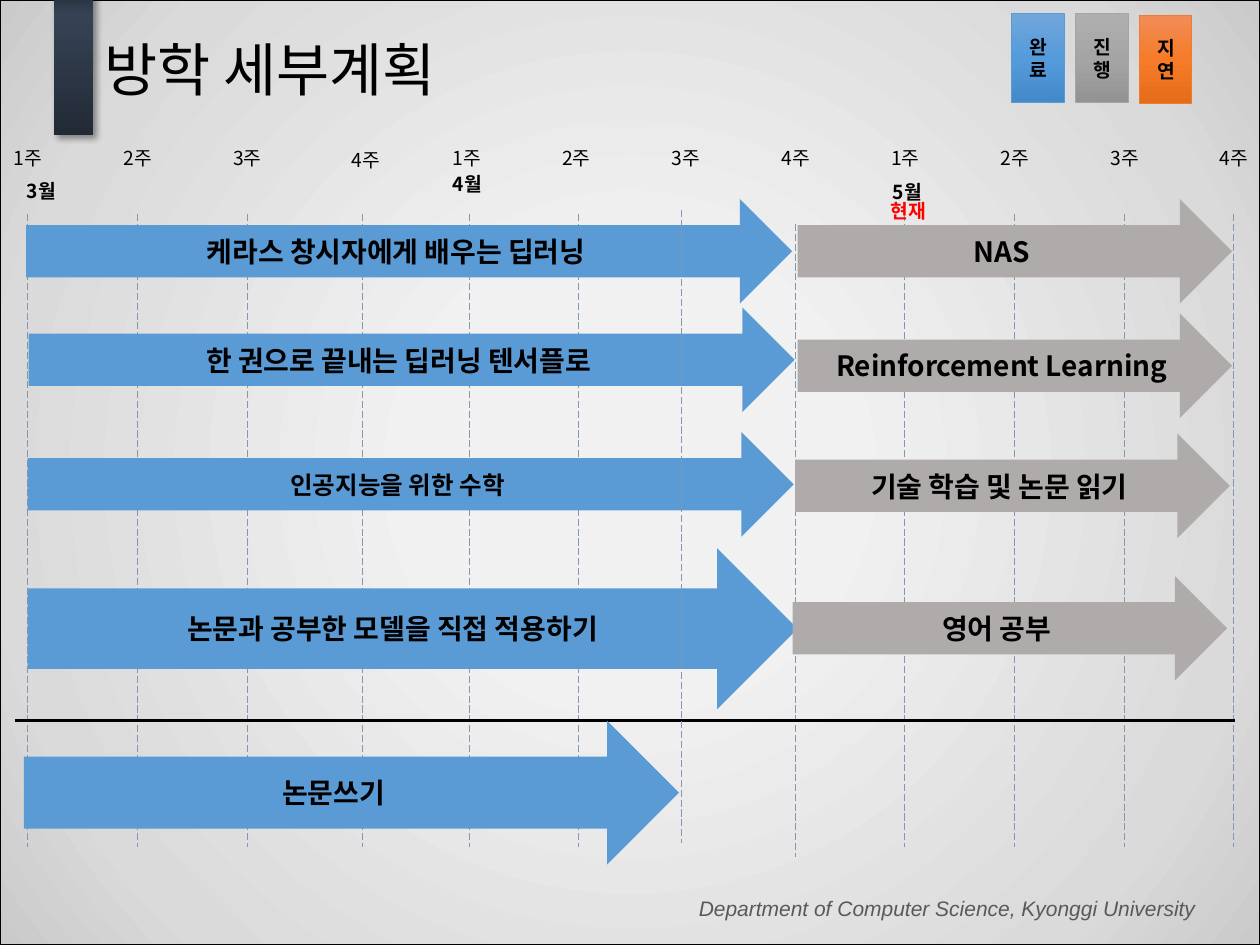
from dataclasses import dataclass

from lxml import etree
from pptx import Presentation
from pptx.dml.color import RGBColor
from pptx.enum.dml import MSO_LINE
from pptx.enum.shapes import MSO_CONNECTOR, MSO_SHAPE
from pptx.enum.text import MSO_ANCHOR, PP_ALIGN
from pptx.oxml import parse_xml
from pptx.oxml.ns import nsdecls, qn
from pptx.util import Cm, Pt

RECT, ARROW = MSO_SHAPE.RECTANGLE, MSO_SHAPE.RIGHT_ARROW
LEFT, CENTER, RIGHT = PP_ALIGN.LEFT, PP_ALIGN.CENTER, PP_ALIGN.RIGHT
TOP, MIDDLE = MSO_ANCHOR.TOP, MSO_ANCHOR.MIDDLE
STRAIGHT, DASH = MSO_CONNECTOR.STRAIGHT, MSO_LINE.LONG_DASH


@dataclass(frozen=True)
class Theme:
    font: str = "Noto Sans CJK KR"
    latin: str = "Arial"
    black: str = "000000"
    red: str = "FF0000"
    foot: str = "595959"
    grid: str = "8497B0"
    done: str = "5B9BD5"
    doing: str = "AFABAB"
    head: int = 33
    bar: int = 16
    sub: int = 14
    note: int = 12
    small: int = 11


T = Theme()


def write(shape, text, size, bold=False, color=T.black, align=CENTER,
          anchor=TOP, side=0.0, font=T.font):
    """Fill the shape's frame with one styled paragraph and return it."""
    frame = shape.text_frame
    frame.word_wrap = True
    frame.vertical_anchor = anchor
    frame.margin_left = frame.margin_right = Cm(side)
    para = frame.paragraphs[0]
    para.text = text
    para.alignment = align
    style = para.font
    style.name, style.size, style.bold = font, Pt(size), bold
    style.color.rgb = RGBColor.from_string(color)
    etree.SubElement(style._element, qn("a:ea"), typeface=font)
    return para


def shade(box, stops, edge=None, angle=None):
    """Add a rectangle with a gradient: linear at an angle, else circular."""
    shape = shapes.add_shape(RECT, *map(Cm, box))
    shape.shadow.inherit = False
    if edge:
        shape.line.color.rgb = RGBColor.from_string(edge)
        shape.line.width = Pt(0.5)
    else:
        shape.line.fill.background()
    marks = "".join(f'<a:gs pos="{pos * 1000}"><a:srgbClr val="{color}"/></a:gs>'
                    for pos, color in stops)
    if angle is None:
        way = ('<a:path path="circle"><a:fillToRect l="50000" t="50000" '
               'r="50000" b="50000"/></a:path>')
    else:
        way = f'<a:lin ang="{angle * 60000}" scaled="0"/>'
    shape._element.spPr.insert(2, parse_xml(
        f'<a:gradFill {nsdecls("a")} rotWithShape="1">'
        f'<a:gsLst>{marks}</a:gsLst>{way}</a:gradFill>'))
    return shape


deck = Presentation()
deck.slide_width, deck.slide_height = Cm(25.4), Cm(19.05)
slide = deck.slides.add_slide(deck.slide_layouts[6])
shapes = slide.shapes

# Backdrop, footer and title
shade((0, 0, 25.4, 19.05), [(27, "F1F1F1"), (80, "DADADA"), (100, "CACACA")], T.black)
foot = shapes.add_textbox(Cm(4.9), Cm(17.93), Cm(19.46), Cm(0.76))
para = write(foot, "Department of Computer Science, Kyonggi University", T.note,
             color=T.foot, align=RIGHT, side=0.25, font=T.latin)
para.font.italic = True

tab = shade((1.09, -0.28, 0.79, 3), [(0, "222A35"), (80, "364355"), (100, "222A35")],
            angle=270)
tab._element.spPr.find(qn("a:effectLst")).append(parse_xml(
    f'<a:outerShdw {nsdecls("a")} blurRad="{Pt(4)}" dist="{Pt(3)}" dir="2700000" '
    'algn="tl" rotWithShape="0"><a:srgbClr val="000000"><a:alpha val="40000"/>'
    '</a:srgbClr></a:outerShdw>'))
title = shapes.add_textbox(Cm(1.85), Cm(-0.38), Cm(21.89), Cm(3.68))
para = write(title, "방학 세부계획", T.head, align=LEFT, anchor=MIDDLE, side=0.25)
para.line_spacing = 0.9

# Status legend
legend = [
    ("완\v료", 20.4, 0.28, T.done, ("71A6DB", "559BDB", "448ACA")),
    ("진\v행", 21.69, 0.28, "A5A5A5", ("AFAFAF", "A5A5A5", "939393")),
    ("지\v연", 22.98, 0.31, "ED7D31", ("F18C57", "F67B28", "E56C19")),
]
for text, x, y, edge, tones in legend:
    key = shade((x, y, 1.05, 1.78), zip((0, 50, 100), tones), edge, 90)
    write(key, text, T.small, bold=True, anchor=MIDDLE)

# Week lines, and the rule above the last row
weeks = [0.56, 2.77, 4.98, 7.3, 9.47, 11.66, 13.74, 16.03, 18.24, 20.45, 22.66, 24.87]
tops = {6: 4.24, 7: 4.52}
rules = []
for i, x in enumerate(weeks):
    y = tops.get(i, 4.32)
    rules.append((x, y, x, y + 12.75, T.grid, 0.5, DASH))
rules.append((0.3, 14.53, 24.89, 14.53, T.black, 1.5, None))
drawn = []
for *ends, color, width, dash in rules:
    rule = shapes.add_connector(STRAIGHT, *map(Cm, ends))
    rule.line.color.rgb = RGBColor.from_string(color)
    rule.line.width = Pt(width)
    rule.line.dash_style = dash
    etree.SubElement(rule._element.spPr, qn("a:effectLst"))
    drawn.append(rule)

# Week and month labels
nudge = {3: (0.18, 0.05)}
for i in range(len(weeks)):
    dx, dy = nudge.get(i, (0, 0))
    label = shapes.add_textbox(Cm(-0.18 + 2.21 * i + dx), Cm(2.82 + dy), Cm(1.5), Cm(0.74))
    write(label, f"{i % 4 + 1}주", T.small, side=0.25)

for text, x, y in [("3월", -0.41, 3.48), ("4월", 8.18, 3.35), ("5월", 17.05, 3.5)]:
    month = shapes.add_textbox(Cm(x), Cm(y), Cm(2.49), Cm(0.74))
    write(month, text, T.small, bold=True, side=0.25)
now = shapes.add_textbox(Cm(17.75), Cm(3.91), Cm(1.14), Cm(0.69))
write(now, "현재", T.small, bold=True, color=T.red, anchor=MIDDLE)

# Plan arrows
plans = [
    ("케라스 창시자에게 배우는 딥러닝", 0.53, 4.01, 15.44, 2.11, T.done, T.bar),
    ("한 권으로 끝내는 딥러닝 텐서플로", 0.58, 6.2, 15.44, 2.11, T.done, T.bar),
    ("인공지능을 위한 수학", 0.56, 8.71, 15.44, 2.11, T.done, T.sub),
    ("논문과 공부한 모델을 직접 적용하기", 0.56, 11.05, 15.52, 3.25, T.done, T.bar),
    ("논문쓰기", 0.48, 14.53, 13.21, 2.9, T.done, T.bar),
    ("NAS", 16.08, 4.01, 8.76, 2.11, T.doing, T.bar),
    ("Reinforcement Learning", 16.08, 6.32, 8.76, 2.11, T.doing, T.bar),
    ("기술 학습 및 논문 읽기", 16.03, 8.74, 8.76, 2.11, T.doing, T.bar),
    ("영어 공부", 15.98, 11.61, 8.76, 2.11, T.doing, T.bar),
]
for text, *box, color, size in plans:
    plan = shapes.add_shape(ARROW, *map(Cm, box))
    plan.shadow.inherit = False
    plan.fill.solid()
    plan.fill.fore_color.rgb = RGBColor.from_string(color)
    plan.line.fill.background()
    write(plan, text, size, bold=True, anchor=MIDDLE)

# The seventh week line lies over the arrows
shapes._spTree.append(drawn[6]._element)

deck.save("out.pptx")
